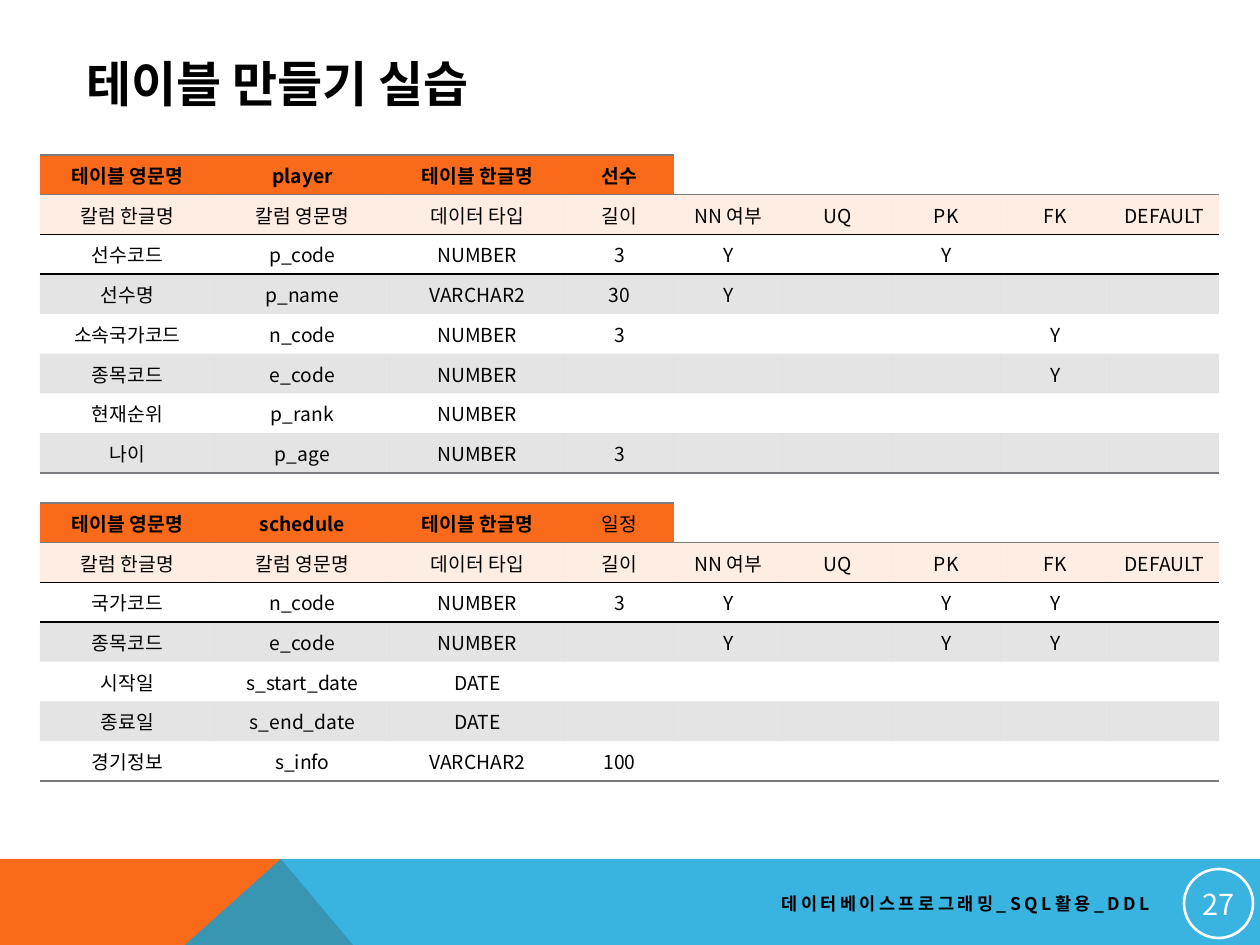
from lxml import etree
from pptx import Presentation, util as u
from pptx.dml.color import RGBColor
from pptx.enum import shapes, text
from pptx.oxml.ns import qn

PX = 914400 / 126
FONT = "Noto Sans CJK KR"
ORANGE, GREY, BLACK, WHITE = "F96A1B", "797B7E", "000000", "FFFFFF"
PLAIN = "{2D5ABB26-0587-4C30-8999-92F81FD0307C}"
WIDTHS = [175] * 3 + [109] * 6
HEADS = ["칼럼 한글명", "칼럼 영문명", "데이터 타입", "길이",
         "NN 여부", "UQ", "PK", "FK", "DEFAULT"]
PLAYER = [
    ["테이블 영문명", "player", "테이블 한글명", "선수"],
    HEADS,
    ["선수코드", "p_code", "NUMBER", "3", "Y", "", "Y"],
    ["선수명", "p_name", "VARCHAR2", "30", "Y"],
    ["소속국가코드", "n_code", "NUMBER", "3", "", "", "", "Y"],
    ["종목코드", "e_code", "NUMBER", "", "", "", "", "Y"],
    ["현재순위", "p_rank", "NUMBER"],
    ["나이", "p_age", "NUMBER", "3"],
]
EVENTS = [
    ["테이블 영문명", "schedule", "테이블 한글명", "일정"],
    HEADS,
    ["국가코드", "n_code", "NUMBER", "3", "Y", "", "Y", "Y"],
    ["종목코드", "e_code", "NUMBER", "", "Y", "", "Y", "Y"],
    ["시작일", "s_start_date", "DATE"],
    ["종료일", "s_end_date", "DATE"],
    ["경기정보", "s_info", "VARCHAR2", "100"],
]


def px(n):
    """Turn pixels into EMU."""
    return u.Emu(round(n * PX))


def rgb(code):
    """Turn a hex string into a colour."""
    return RGBColor.from_string(code)


def paint(fill, code, alpha=100):
    """Fill with a colour of the given opacity in percent."""
    fill.solid()
    fill.fore_color.rgb = rgb(code)
    if alpha < 100:
        tint = fill._xPr.find(qn("a:solidFill"))[0]
        etree.SubElement(tint, qn("a:alpha"), val=str(alpha * 1000))


def write(para, words, size, code=BLACK, bold=False, align="LEFT", gap=0):
    """Put words in a paragraph and style it."""
    para.alignment = getattr(text.PP_ALIGN, align)
    font = para.font
    font.size, font.bold, font.name = u.Pt(size), bold, FONT
    font.color.rgb = rgb(code)
    props = para._p.pPr.find(qn("a:defRPr"))
    latin = props.find(qn("a:latin"))
    latin.addnext(etree.Element(qn("a:ea"), typeface=FONT))
    if gap:
        props.set("spc", str(gap * 100))
    if words:
        para.add_run().text = words
    else:
        etree.SubElement(para._p, qn("a:endParaRPr"), sz=str(size * 100))


def rule(cell, side, code):
    """Draw a one-point border on one side (lnT or lnB) of a cell."""
    line = etree.Element(qn("a:" + side), w="12700")
    fill = etree.SubElement(line, qn("a:solidFill"))
    etree.SubElement(fill, qn("a:srgbClr"), val=code)
    props = cell._tc.get_or_add_tcPr()
    props.insert(len(props.findall(qn("a:lnT"))), line)


def style(cell, row, col, last):
    """Fill and border a cell by its place in the table."""
    if row == 0 and col < 4:
        paint(cell.fill, ORANGE)
        rule(cell, "lnT", GREY)
    elif row == 1:
        paint(cell.fill, "FBA676", 20)
    elif row > 1 and row % 2:
        paint(cell.fill, GREY, 20)
    else:
        cell.fill.background()
    if row in (1, 2):
        rule(cell, "lnB", BLACK)
    elif row in (0, last):
        rule(cell, "lnB", GREY)


def grid(slide, left, top, high, rows, bold):
    """Place one table definition; bold counts the bold heading cells."""
    frame = slide.shapes.add_table(len(rows), len(WIDTHS), px(left), px(top),
                                   px(sum(WIDTHS)), px(high))
    table = frame.table
    table._tbl.tblPr.find(qn("a:tableStyleId")).text = PLAIN
    table.first_row = table.horz_banding = False
    for col, wide in zip(table.columns, WIDTHS):
        col.width = px(wide)
    for r, row in enumerate(rows):
        for c in range(len(WIDTHS)):
            cell = table.cell(r, c)
            cell.margin_left = cell.margin_right = px(9)
            cell.margin_top = cell.margin_bottom = px(2)
            cell.vertical_anchor = text.MSO_ANCHOR.MIDDLE
            words = row[c] if c < len(row) else ""
            write(cell.text_frame.paragraphs[0], words, 11,
                  bold=r == 0 and c < bold, align="CENTER")
            style(cell, r, c, len(rows) - 1)


def band(slide, points, code, alpha=100):
    """Draw one filled outline."""
    pen = slide.shapes.build_freeform(*points[0], scale=PX)
    pen.add_line_segments(points[1:], close=True)
    shape = pen.convert_to_shape()
    shape.shadow.inherit = False
    shape.line.fill.background()
    paint(shape.fill, code, alpha)


def footer(slide, left, top, wide, high):
    """Place the bands, the course name and the page number."""
    peak, low, right = left + 281, top + high, left + wide
    band(slide, [(left, top), (peak, top), (left + 353, low), (left, low)],
         ORANGE)
    band(slide, [(left + 185, low), (peak, top), (right, top), (right, low)],
         "08A1D9", 80)
    disc = slide.shapes.add_shape(shapes.MSO_SHAPE.OVAL, px(right - 76),
                                  px(top + 10), px(69), px(69))
    disc.shadow.inherit = False
    disc.fill.background()
    disc.line.color.rgb = rgb(WHITE)
    disc.line.width = u.Pt(1.5)
    body = disc.text_frame
    body.margin_left = body.margin_right = px(1)
    body.margin_top = body.margin_bottom = px(1)
    body.vertical_anchor = text.MSO_ANCHOR.MIDDLE
    body.word_wrap = False
    write(body.paragraphs[0], "27", 16.5, WHITE, align="CENTER")
    name = slide.shapes.add_textbox(px(left + 451), px(top + 26), px(711),
                                    px(38)).text_frame
    name.word_wrap = True
    name.vertical_anchor = text.MSO_ANCHOR.MIDDLE
    write(name.paragraphs[0], "데이터베이스프로그래밍_SQL활용_DDL", 10,
          bold=True, align="RIGHT", gap=2)


def head(slide, left, top, wide, high):
    """Move and write the title."""
    title = slide.shapes.title
    title.left, title.top = px(left), px(top)
    title.width, title.height = px(wide), px(high)
    title.text_frame.vertical_anchor = text.MSO_ANCHOR.MIDDLE
    write(title.text_frame.paragraphs[0], "테이블 만들기 실습", 28, bold=True)


def main():
    """Build the slide and save it."""
    deck = Presentation()
    deck.slide_width, deck.slide_height = px(1260), px(945)
    slide = deck.slides.add_slide(deck.slide_layouts[5])
    footer(slide, 0, 859, 1260, 86)
    head(slide, 74, 45, 1036, 76)
    grid(slide, 40, 155, 318, PLAYER, 4)
    grid(slide, 40, 503, 278, EVENTS, 3)
    deck.save("out.pptx")


main()
